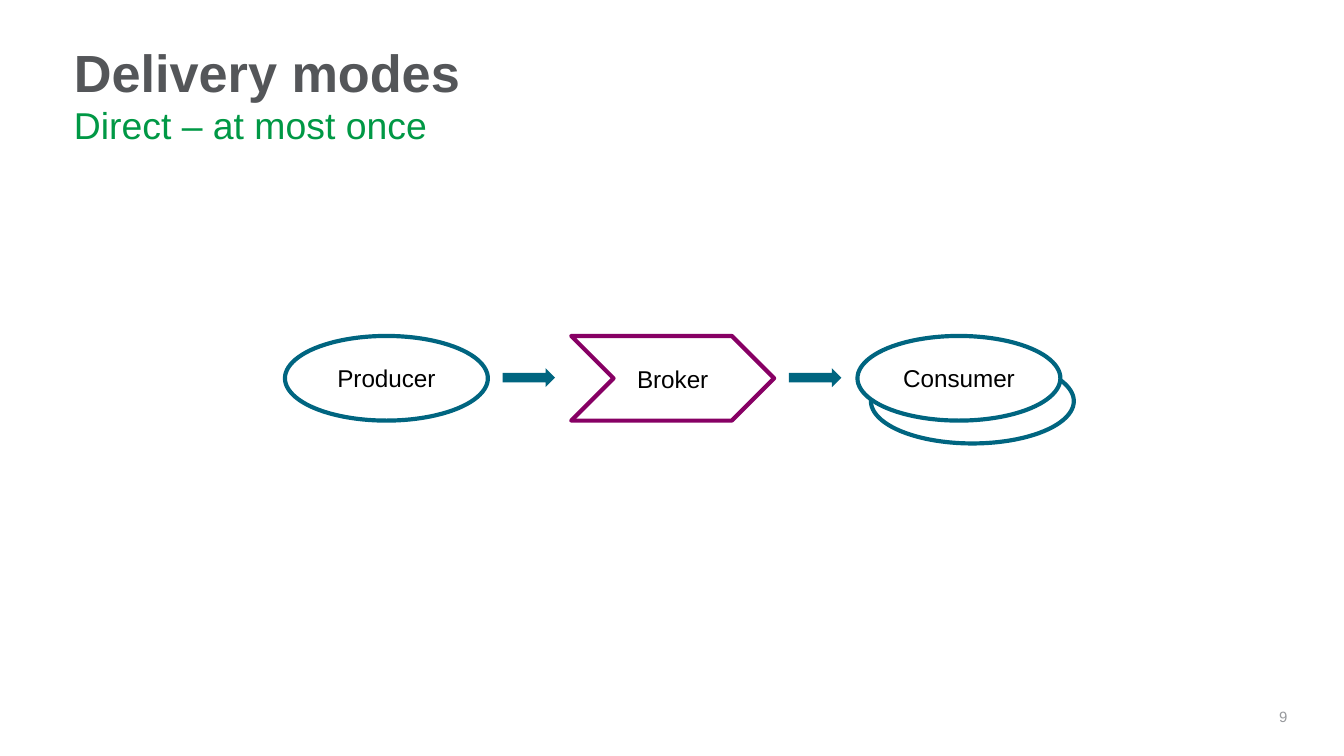
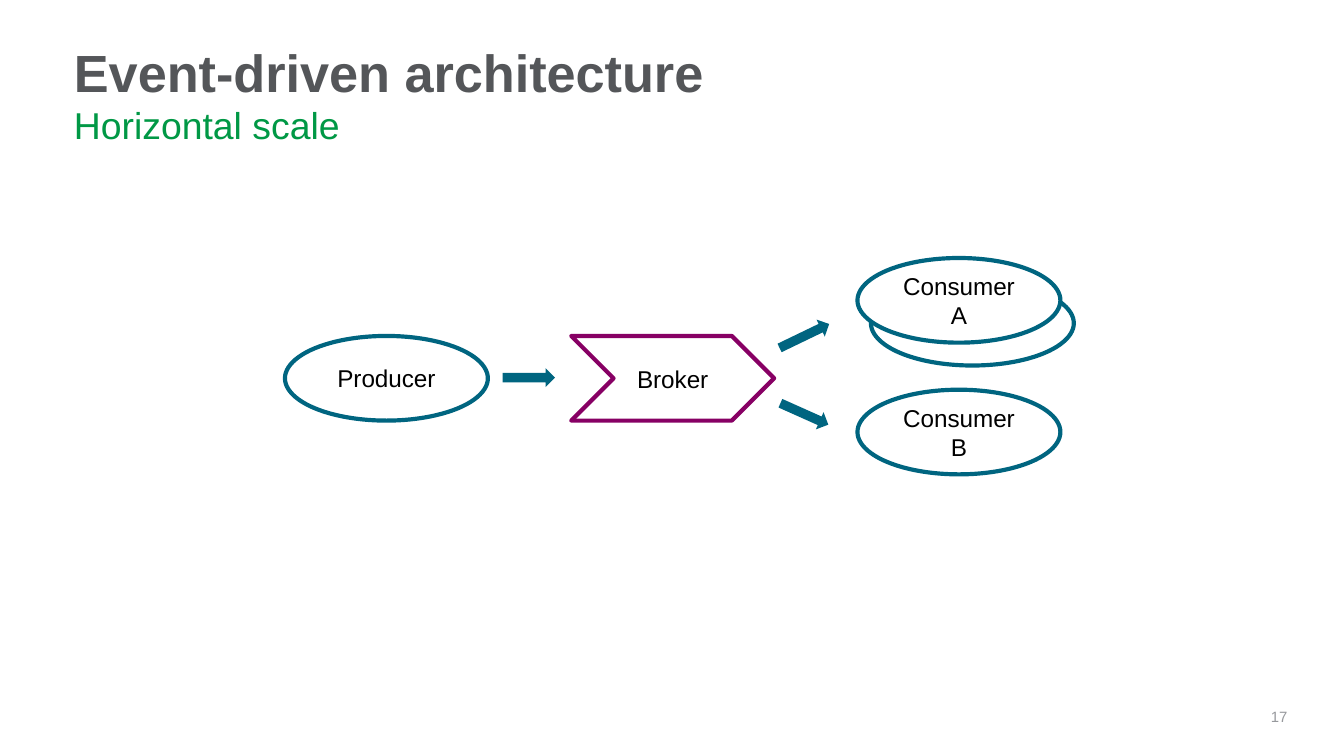
from dataclasses import dataclass

from pptx import Presentation
from pptx import util as u
from pptx.dml.color import RGBColor
from pptx.enum import shapes, text


@dataclass(frozen=True)
class Theme:
    font: str = "Arial"
    title: str = "545659"
    subtitle: str = "009845"
    number: str = "97999D"
    label: str = "000000"
    flow: str = "006580"
    broker: str = "870064"
    white: str = "FFFFFF"
    title_pt: int = 28
    subtitle_pt: int = 20
    label_pt: int = 13
    number_pt: int = 8
    outline_pt: float = 2.25


T = Theme()
PX = u.Inches(1) // 100
L, C, R = text.PP_ALIGN.LEFT, text.PP_ALIGN.CENTER, text.PP_ALIGN.RIGHT
TOP, MIDDLE = text.MSO_ANCHOR.TOP, text.MSO_ANCHOR.MIDDLE
OVAL, CHEVRON, ARROW = (shapes.MSO_SHAPE.OVAL, shapes.MSO_SHAPE.CHEVRON,
                        shapes.MSO_SHAPE.RIGHT_ARROW)


def write(sp, words, size, color, align=L, anchor=TOP, bold=False, spacing=None, ins=None):
    """Set one styled paragraph; ins is the (side, top and bottom) inset in px."""
    tf = sp.text_frame
    frame = dict(word_wrap=True, auto_size=text.MSO_AUTO_SIZE.NONE, vertical_anchor=anchor)
    if ins:
        frame.update(margin_left=ins[0] * PX, margin_right=ins[0] * PX,
                     margin_top=ins[1] * PX, margin_bottom=ins[1] * PX)
    for name, value in frame.items():
        setattr(tf, name, value)
    tf.text = words
    p = tf.paragraphs[0]
    p.alignment, p.line_spacing = align, spacing
    font = p.runs[0].font
    for name, value in dict(name=T.font, size=u.Pt(size), bold=bold).items():
        setattr(font, name, value)
    font.color.rgb = RGBColor.from_string(color)


def draw(s, kind, box, fill=None, line=None, label=None, turn=0):
    sp = s.shapes.add_shape(kind, *(v * PX for v in box))
    sp.shadow.inherit = False
    sp.rotation = turn
    if fill:
        sp.fill.solid()
        sp.fill.fore_color.rgb = RGBColor.from_string(fill)
    else:
        sp.fill.background()
    if line:
        sp.line.color.rgb = RGBColor.from_string(line)
        sp.line.width = u.Pt(T.outline_pt)
    else:
        sp.line.fill.background()
    if label:
        write(sp, label, T.label_pt, T.label, C, MIDDLE)


NODE_W, NODE_H = 151, 63
PRODUCER_X, BROKER_X, CONSUMER_X = 212, 425, 638
ROW_Y = 250
STACK_DX, STACK_DY = 10, 17

# consumers: (label, top, stacked); arrows: (left, top, width, height, rotation)
slides = [
    dict(title="Delivery modes", subtitle="Direct – at most once", number="9",
         consumers=[("Consumer", ROW_Y, True)],
         arrows=[(374, 274, 39, 14, 0), (587, 274, 39, 14, 0)]),
    dict(title="Event-driven architecture", subtitle="Horizontal scale", number="17",
         consumers=[("Consumer A", 192, True), ("Consumer B", 290, False)],
         arrows=[(374, 274, 39, 14, 0), (578, 243, 41, 14, 334.2),
                 (579, 301, 39, 14, 24.1)]),
]

prs = Presentation()
prs.slide_width, prs.slide_height = u.Inches(10), u.Inches(5.625)

for page in slides:
    s = prs.slides.add_slide(prs.slide_layouts[5])

    title = s.shapes.title
    for name, value in dict(left=55, top=30, width=887, height=43).items():
        setattr(title, name, value * PX)
    write(title, page["title"], T.title_pt, T.title, bold=True, spacing=0.9, ins=(0, 5))

    subtitle = s.shapes.add_textbox(55 * PX, 80 * PX, 887 * PX, 27 * PX)
    write(subtitle, page["subtitle"], T.subtitle_pt, T.subtitle, spacing=0.9, ins=(0, 0))

    number = s.shapes.add_textbox(939 * PX, 520 * PX, 19 * PX, 26 * PX)
    write(number, page["number"], T.number_pt, T.number, R, MIDDLE, ins=(0, 5))

    draw(s, OVAL, (PRODUCER_X, ROW_Y, NODE_W, NODE_H), line=T.flow, label="Producer")
    draw(s, CHEVRON, (BROKER_X, ROW_Y, NODE_W, NODE_H), T.white, T.broker, "Broker")
    for *box, turn in page["arrows"]:
        draw(s, ARROW, box, T.flow, turn=turn)
    for label, y, stacked in page["consumers"]:
        if stacked:
            draw(s, OVAL, (CONSUMER_X + STACK_DX, y + STACK_DY, NODE_W, NODE_H), line=T.flow)
        draw(s, OVAL, (CONSUMER_X, y, NODE_W, NODE_H), T.white if stacked else None,
             T.flow, label)

prs.save("out.pptx")
